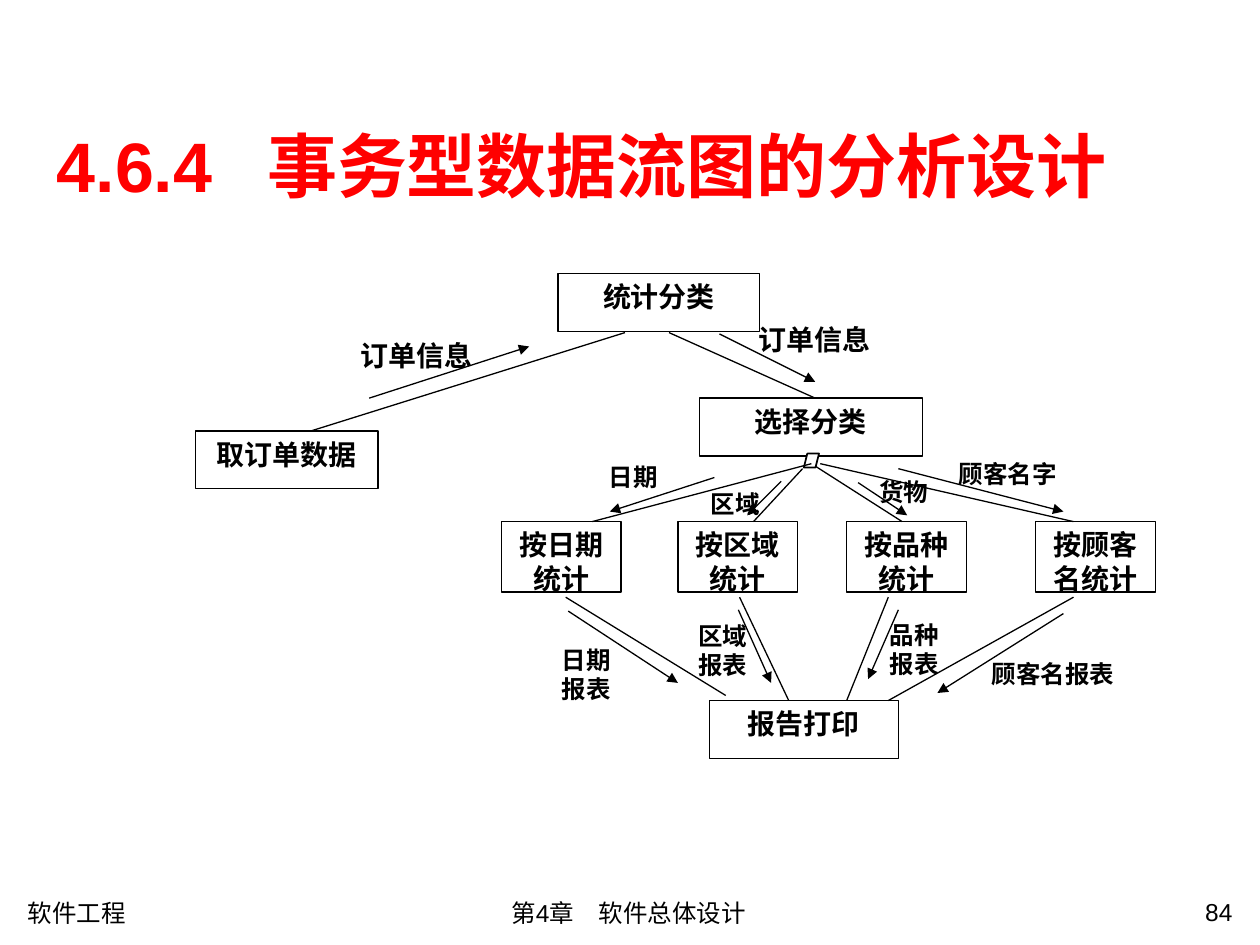
from dataclasses import dataclass

from lxml import etree
from pptx import Presentation
from pptx import util as u
from pptx.dml import color
from pptx.enum import shapes, text
from pptx.oxml import ns

Inches = u.Inches
Align = text.PP_ALIGN


@dataclass(frozen=True)
class Theme:
    font: str = "Arial"
    ink: str = "000000"
    paper: str = "FFFFFF"
    head: str = "FF0000"
    title: int = 40
    box: int = 16
    note: int = 14
    thin: float = 0.75


THEME = Theme()

TALL = 0.46
BOXES = [
    ("统计分类", 4.43, 2.17, 1.6, TALL),
    ("取订单数据", 1.55, 3.42, 1.45, TALL),
    ("选择分类", 5.55, 3.16, 1.77, TALL),
    ("报告打印", 5.63, 5.56, 1.5, TALL),
] + [
    (name, left, 4.14, 0.95, 0.56)
    for name, left in [
        ("按日期统计", 3.98),
        ("按区域统计", 5.38),
        ("按品种统计", 6.72),
        ("按顾客名统计", 8.22),
    ]
]

LABELS = [
    ("品种\n报表", 6.97, 4.87, 0.74, THEME.note),
    ("区域\n报表", 5.45, 4.88, 0.74, THEME.note),
    ("日期\n报表", 4.37, 5.07, 0.74, THEME.note),
    ("顾客名报表", 7.78, 5.18, 1.23, THEME.note),
    ("日期", 4.74, 3.62, 0.74, THEME.note),
    ("区域", 5.55, 3.83, 0.74, THEME.note),
    ("货物", 6.89, 3.74, 0.74, THEME.note),
    ("顾客名字", 7.52, 3.59, 1.11, THEME.note),
    ("订单信息", 5.93, 2.51, 1.11, THEME.box),
    ("订单信息", 2.77, 2.64, 1.13, THEME.box),
]

LINKS = [
    (2.47, 3.42, 4.96, 2.64),
    (5.31, 2.64, 6.47, 3.16),
    (6.44, 3.68, 7.16, 4.14),
    (6.51, 3.68, 8.52, 4.14),
    (6.37, 3.72, 5.98, 4.14),
    (4.49, 4.74, 5.76, 5.52),
    (5.87, 4.74, 6.26, 5.56),
    (7.05, 4.74, 6.72, 5.56),
    (8.52, 4.74, 7.05, 5.56),
]
DATE_LINK = (6.44, 3.68, 4.7, 4.14)

FLOWS = [
    (2.93, 3.16, 4.2, 2.75),
    (5.71, 2.65, 6.47, 3.03),
    (5.67, 3.79, 4.84, 4.06),
    (6.2, 3.82, 5.93, 4.09),
    (6.81, 3.83, 7.2, 4.09),
    (7.13, 3.72, 8.44, 4.06),
    (4.51, 4.85, 5.38, 5.42),
    (5.86, 4.84, 6.12, 5.42),
    (7.13, 4.84, 6.89, 5.39),
    (8.44, 4.87, 7.44, 5.5),
]

FOOT = [
    ("软件工程", 0.12, 7.08, 1.57, Align.LEFT),
    ("第4章　软件总体设计", 2.35, 7.08, 5.28, Align.CENTER),
    ("84", 8.54, 7.07, 1.34, Align.RIGHT),
]


def tint(code):
    return color.RGBColor.from_string(code)


def write(frame, words, size, align, bold=True, hue=THEME.ink, inset=0.09):
    frame.word_wrap = True
    frame.auto_size = text.MSO_AUTO_SIZE.NONE
    frame.margin_left = frame.margin_right = Inches(inset)
    frame.margin_top = frame.margin_bottom = Inches(0.05)
    for i, line in enumerate(words.split("\n")):
        para = frame.paragraphs[0] if i == 0 else frame.add_paragraph()
        para.alignment = align
        run = para.add_run()
        run.text = line
        run.font.name = THEME.font
        run.font.size = u.Pt(size)
        run.font.bold = bold
        run.font.color.rgb = tint(hue)


def add_title(slide):
    title = slide.shapes.title
    title.left, title.top = Inches(0.35), Inches(0.83)
    title.width, title.height = Inches(9), Inches(0.95)
    frame = title.text_frame
    frame.vertical_anchor = text.MSO_ANCHOR.MIDDLE
    props = frame.paragraphs[0]._p.get_or_add_pPr()
    tabs = etree.SubElement(props, ns.qn("a:tabLst"))
    etree.SubElement(tabs, ns.qn("a:tab"), pos=str(Inches(1.67)), algn="l")
    write(frame, "4.6.4\t事务型数据流图的分析设计", THEME.title,
          Align.LEFT, hue=THEME.head, inset=0.1)


def add_foot(slide, words, left, top, width, align):
    box = slide.shapes.add_textbox(
        Inches(left), Inches(top), Inches(width), Inches(0.34))
    write(box.text_frame, words, THEME.note, align, bold=False, inset=0.1)


def add_panel(slide, kind, left, top, width, height, line=0):
    shape = slide.shapes.add_shape(
        kind, Inches(left), Inches(top), Inches(width), Inches(height))
    shape.shadow.inherit = False
    shape.fill.solid()
    shape.fill.fore_color.rgb = tint(THEME.paper)
    if line:
        shape.line.color.rgb = tint(THEME.ink)
        shape.line.width = u.Pt(line)
    else:
        shape.line.fill.background()
    return shape


def add_box(slide, words, size, align, place, line=0):
    shape = add_panel(slide, shapes.MSO_SHAPE.RECTANGLE, *place, line=line)
    shape.text_frame.vertical_anchor = text.MSO_ANCHOR.TOP
    write(shape.text_frame, words, size, align)


def add_line(slide, ends, arrow=False):
    line = slide.shapes.add_connector(
        shapes.MSO_CONNECTOR.STRAIGHT, *[Inches(end) for end in ends])
    line.line.color.rgb = tint(THEME.ink)
    line.line.width = u.Pt(THEME.thin)
    if arrow:
        etree.SubElement(line.line._get_or_add_ln(), ns.qn("a:tailEnd"),
                         type="triangle")
    etree.SubElement(line._element.spPr, ns.qn("a:effectLst"))


def main():
    deck = Presentation()
    deck.slide_width, deck.slide_height = Inches(10), Inches(7.5)
    slide = deck.slides.add_slide(deck.slide_layouts[5])
    add_title(slide)
    for item in FOOT:
        add_foot(slide, *item)
    for words, left, top, width, size in LABELS:
        add_box(slide, words, size, Align.JUSTIFY, (left, top, width, 0.45))
    for words, *place in BOXES:
        add_box(slide, words, THEME.box, Align.CENTER, place, THEME.thin)
    for ends in LINKS:
        add_line(slide, ends)
    add_panel(slide, shapes.MSO_SHAPE.PARALLELOGRAM,
              6.38, 3.6, 0.12, 0.11, line=1)
    add_line(slide, DATE_LINK)
    for ends in FLOWS:
        add_line(slide, ends, arrow=True)
    deck.save("out.pptx")


if __name__ == "__main__":
    main()
